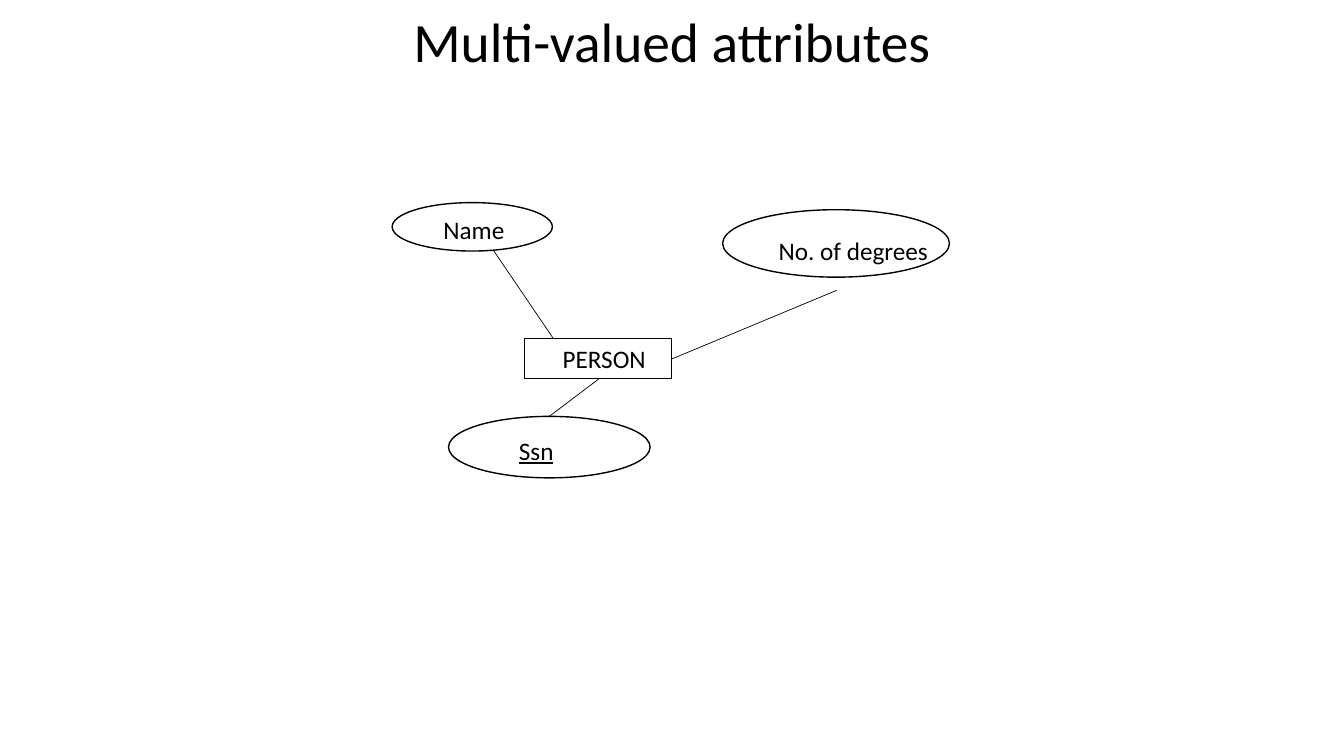
from dataclasses import dataclass

from lxml import etree
from pptx import Presentation
from pptx.dml.color import RGBColor
from pptx.enum import shapes, text
from pptx.oxml import ns
from pptx.util import Pt


@dataclass(frozen=True)
class Theme:
    font: str = "Calibri"
    ink: RGBColor = RGBColor(0, 0, 0)
    title_size: float = 39.6
    label_size: float = 18
    entity_line: float = 0.75
    attribute_line: float = 1
    link_line: float = 0.5


class Page:
    def __init__(self, deck, theme):
        self.theme = theme
        self.shapes = deck.slides.add_slide(deck.slide_layouts[6]).shapes

    def fill_text(self, box, words, size, indent=0, underline=None, **para_format):
        frame = box.text_frame
        frame.word_wrap = True
        frame.vertical_anchor = text.MSO_ANCHOR.MIDDLE
        para = frame.paragraphs[0]
        para_format = {"alignment": text.PP_ALIGN.LEFT, **para_format}
        for name, value in para_format.items():
            setattr(para, name, value)
        if indent:
            para._p.get_or_add_pPr().set("marL", str(Pt(indent)))
        span = para.add_run()
        span.text = words
        span.font.color.rgb = self.theme.ink
        span_format = {"name": self.theme.font, "size": Pt(size), "underline": underline}
        for name, value in span_format.items():
            setattr(span.font, name, value)

    def label(self, place, words, size, **style):
        box = self.shapes.add_textbox(*map(Pt, place))
        self.fill_text(box, words, size, **style)

    def outline(self, kind, place, width):
        box = self.shapes.add_shape(kind, *map(Pt, place))
        box.shadow.inherit = False
        box.fill.background()
        box.line.color.rgb = self.theme.ink
        box.line.width = Pt(width)
        return box

    def entity(self, place, words, indent):
        box = self.outline(shapes.MSO_SHAPE.RECTANGLE, place, self.theme.entity_line)
        self.fill_text(box, words, self.theme.label_size, indent)

    def attribute(self, oval, place, words, **style):
        self.outline(shapes.MSO_SHAPE.OVAL, oval, self.theme.attribute_line)
        self.label(place, words, self.theme.label_size, **style)

    def link(self, *ends):
        link = self.shapes.add_connector(shapes.MSO_CONNECTOR.STRAIGHT, *map(Pt, ends))
        link.line.color.rgb = self.theme.ink
        link.line.width = Pt(self.theme.link_line)
        etree.SubElement(link._element.spPr, ns.qn("a:effectLst"))


deck = Presentation()
deck.slide_width, deck.slide_height = Pt(960), Pt(540)
theme = Theme()
page = Page(deck, theme)

# Title
page.label((66, 9.4, 828, 44.6), "Multi-valued attributes", theme.title_size,
           alignment=text.PP_ALIGN.CENTER, line_spacing=0.9)

# Entity
page.entity((374.4, 241.9, 105.1, 28.8), "PERSON", indent=20.4)

# Attributes: oval, label place, wording
page.attribute((280.1, 144.7, 114.5, 34.6), (309.6, 149.8, 65.5, 28.8), "Name")
page.attribute((516.2, 149.8, 162, 48.2), (520.6, 164.2, 152.6, 28.8),
               "No. of degrees", indent=28.5)
page.attribute((320.4, 297.4, 144, 43.9), (363.6, 307.4, 41, 28.8), "Ssn", underline=True)

# Links between the entity and its attributes
for ends in (
    (352.8, 179.3, 395.3, 241.9),
    (597.6, 207.4, 480.2, 256.3),
    (427.7, 270.7, 392.4, 297.4),
):
    page.link(*ends)

deck.save("out.pptx")
